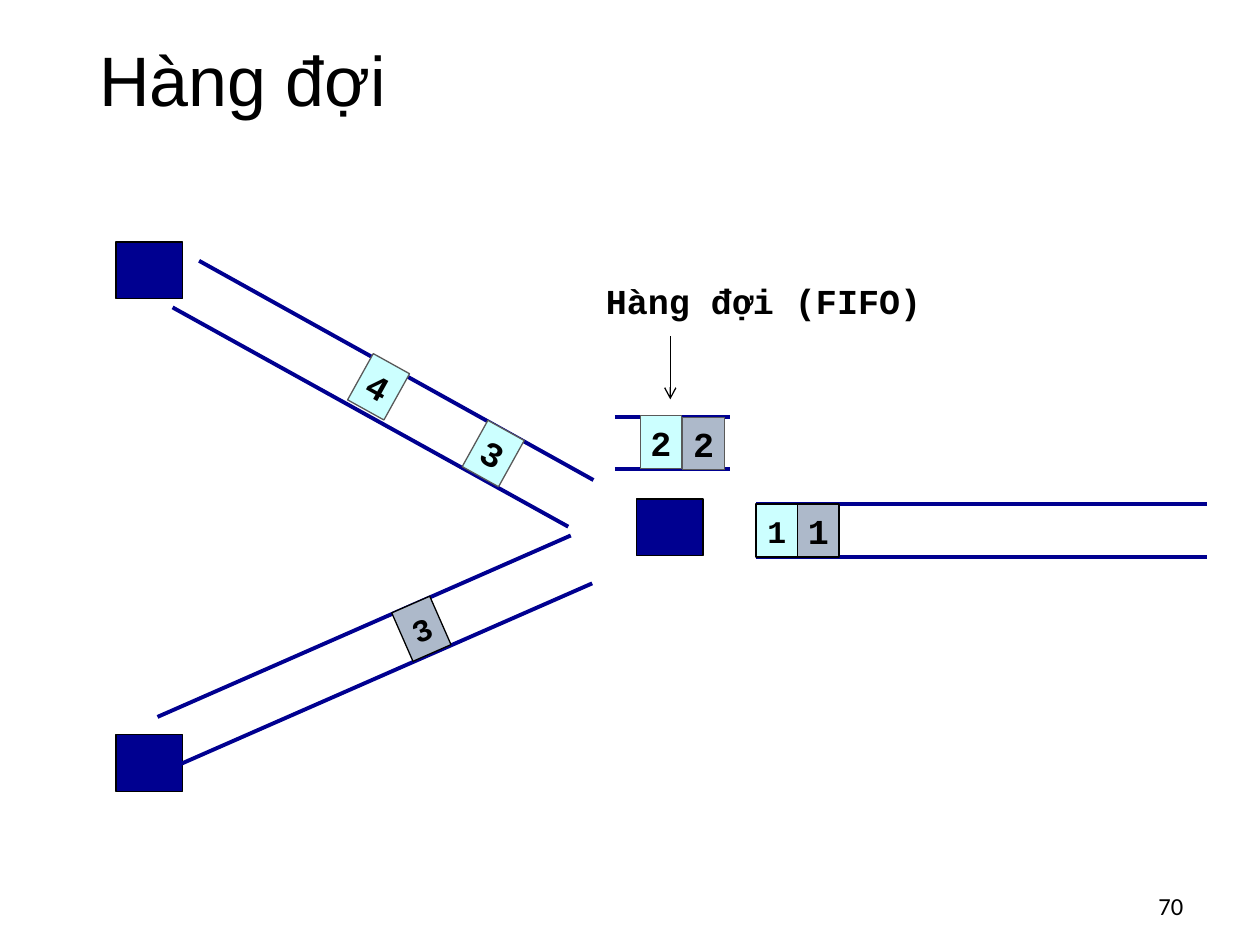
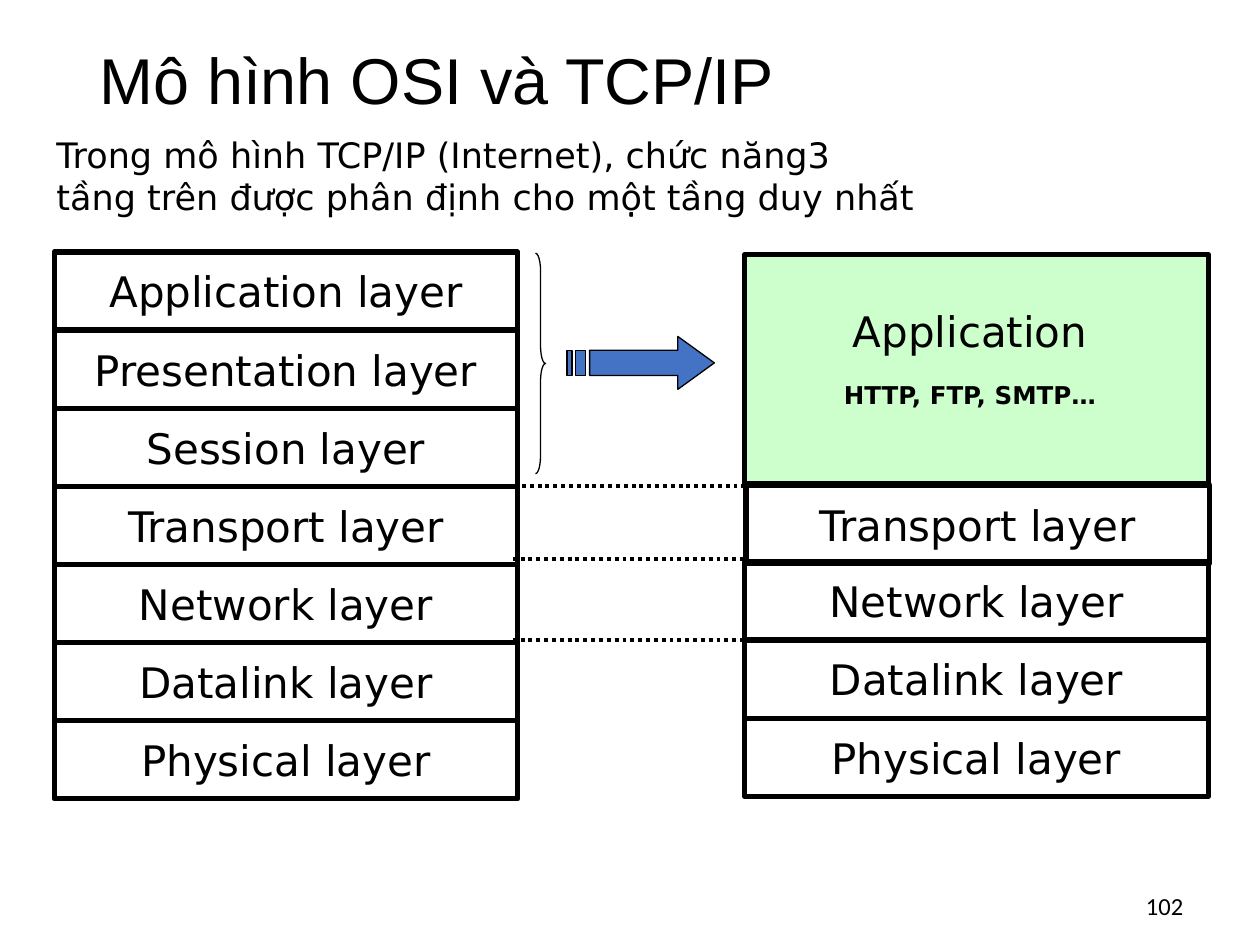
from lxml.etree import SubElement
from pptx import Presentation
from pptx.dml.color import RGBColor
from pptx.enum.dml import MSO_LINE
from pptx.enum.shapes import MSO_CONNECTOR, MSO_SHAPE
from pptx.enum.text import MSO_ANCHOR, PP_ALIGN
from pptx.oxml.ns import qn
from pptx.util import Emu, Pt

BLACK = RGBColor(0x00, 0x00, 0x00)
NAVY = RGBColor(0x00, 0x00, 0x90)
CYAN = RGBColor(0xCC, 0xFF, 0xFF)
STEEL = RGBColor(0xAD, 0xB9, 0xCA)
GREY = RGBColor(0x59, 0x59, 0x59)
MINT = RGBColor(0xCC, 0xFF, 0xCC)
BLUE = RGBColor(0x44, 0x72, 0xC4)

EMU_PER_PX = 9144  # 100 px to the inch

TITLE = {"name": "Arial", "size": Pt(40)}
NUMBER = {"name": "Calibri", "size": Pt(14)}
PACKET = {"name": "Courier New", "size": Pt(20), "bold": True}
SMALL_PACKET = {**PACKET, "size": Pt(18)}
LAYER = {"name": "DejaVu Sans", "size": Pt(24)}
BODY = {**LAYER, "size": Pt(20)}
PROTOCOLS = {**LAYER, "size": Pt(14), "bold": True}

PACKET_WIDTH, PACKET_HEIGHT = 33, 42
LAYER_WIDTH, LAYER_HEIGHT = 368, 62


def px(length):
    return Emu(length * EMU_PER_PX)


class Deck:
    def __init__(self, width, height):
        self.presentation = Presentation()
        self.presentation.slide_width = px(width)
        self.presentation.slide_height = px(height)
        self.slide = None

    def add_slide(self, title, number, title_size=40):
        self.slide = self.presentation.slides.add_slide(self.presentation.slide_layouts[6])
        title_box = self.text(69, 26, 862, 81, [title], {**TITLE, "size": Pt(title_size)},
                              anchor=MSO_ANCHOR.MIDDLE)
        title_box.text_frame.paragraphs[0].line_spacing = 0.9
        self.text(886, 699, 63, 40, [number], NUMBER, PP_ALIGN.RIGHT, MSO_ANCHOR.MIDDLE)

    def fill_text(self, shape, lines, font_format, alignment=PP_ALIGN.CENTER,
                  anchor=MSO_ANCHOR.MIDDLE, wrap=False):
        frame = shape.text_frame
        frame.word_wrap = wrap
        frame.vertical_anchor = anchor
        for index, line in enumerate(lines):
            paragraph = frame.add_paragraph() if index else frame.paragraphs[0]
            paragraph.text = line
            paragraph.alignment = alignment
            self.style_font(paragraph, font_format)

    def style_font(self, paragraph, font_format):
        for name, value in font_format.items():
            setattr(paragraph.font, name, value)
        paragraph.font.color.rgb = BLACK

    def text(self, left, top, width, height, lines, font_format,
             alignment=PP_ALIGN.LEFT, anchor=MSO_ANCHOR.TOP):
        box = self.slide.shapes.add_textbox(px(left), px(top), px(width), px(height))
        self.fill_text(box, lines, font_format, alignment, anchor, wrap=True)
        return box

    def paint(self, shape, fill, line, weight):
        shape.shadow.inherit = False
        if fill is None:
            shape.fill.background()
        else:
            shape.fill.solid()
            shape.fill.fore_color.rgb = fill
        shape.line.color.rgb = line
        shape.line.width = Pt(weight)

    def shape(self, left, top, width, height, fill=None, line=BLACK, weight=0.75,
              kind=MSO_SHAPE.RECTANGLE):
        shape = self.slide.shapes.add_shape(kind, px(left), px(top), px(width), px(height))
        self.paint(shape, fill, line, weight)
        return shape

    def line(self, start, end, color=NAVY, weight=2.25, dash=None, arrow=False):
        points = [px(value) for value in (*start, *end)]
        connector = self.slide.shapes.add_connector(MSO_CONNECTOR.STRAIGHT, *points)
        connector.line.color.rgb = color
        connector.line.width = Pt(weight)
        if dash is not None:
            connector.line.dash_style = dash
        properties = connector._element.spPr
        if arrow:
            SubElement(properties.find(qn("a:ln")), qn("a:tailEnd"), type="arrow")
        SubElement(properties, qn("a:effectLst"))

    def outline(self, contours, fill, line=BLACK, weight=0.75):
        """Draw closed polygons as one freeform."""
        first, *others = contours
        builder = self.slide.shapes.build_freeform(*first[0], scale=EMU_PER_PX)
        builder.add_line_segments(first[1:], close=True)
        for contour in others:
            builder.move_to(*contour[0])
            builder.add_line_segments(contour[1:], close=True)
        self.paint(builder.convert_to_shape(), fill, line, weight)

    def node(self, left, top):
        self.shape(left, top, 53, 45, NAVY)

    def packet(self, left, top, number, fill, line=BLACK, weight=0.75, rotation=0,
               font_format=PACKET):
        packet = self.shape(left, top, PACKET_WIDTH, PACKET_HEIGHT, fill, line, weight)
        packet.rotation = rotation
        self.fill_text(packet, [number], font_format)

    def layer(self, left, top, name):
        box = self.shape(left, top, LAYER_WIDTH, LAYER_HEIGHT, weight=3)
        self.fill_text(box, [name], LAYER)


def build_queue(deck):
    deck.add_slide("Hàng đợi", "70")
    for left, top in ((92, 192), (92, 583), (505, 396)):
        deck.node(left, top)

    link_edges = (
        ((158, 207), (471, 381)), ((137, 244), (451, 418)),
        ((125, 569), (453, 425)), ((142, 607), (470, 463)),
        ((600, 400), (958, 400)), ((600, 442), (958, 442)),
        ((488, 331), (579, 331)), ((488, 372), (579, 372)),
    )
    for start, end in link_edges:
        deck.line(start, end)

    deck.packet(375, 339, "3", CYAN, GREY, rotation=29)
    deck.packet(284, 286, "4", CYAN, GREY, rotation=29)
    deck.packet(318, 478, "3", STEEL, rotation=336.3, font_format=SMALL_PACKET)
    deck.packet(600, 400, "1", CYAN, font_format=SMALL_PACKET)
    deck.packet(600 + PACKET_WIDTH, 400, "1", STEEL)
    deck.packet(542, 331, "2", STEEL, GREY, 0.5)
    deck.packet(508, 330, "2", CYAN, GREY, 0.5)

    deck.text(471, 217, 280, 44, ["Hàng đợi (FIFO)"], PACKET)
    deck.line((532, 267), (532, 317), BLACK, 0.75, arrow=True)


def build_models(deck):
    deck.add_slide("Mô hình OSI và TCP/IP", "102", title_size=37)
    deck.text(35, 101, 710, 77, [
        "Trong mô hình TCP/IP (Internet), chức năng3",
        "tầng trên được phân định cho một tầng duy nhất",
    ], BODY)

    osi_layers = ["Application", "Presentation", "Session", "Transport",
                  "Network", "Datalink", "Physical"]
    for index, name in enumerate(osi_layers):
        deck.layer(43, 200 + index * LAYER_HEIGHT, f"{name} layer")

    deck.layer(592, 385, "Transport layer")
    application = deck.shape(591, 202, LAYER_WIDTH, 182, MINT, weight=3)
    deck.fill_text(application, ["Application", "HTTP, FTP, SMTP…"], LAYER)
    application.text_frame.margin_right = px(20)
    application.text_frame.margin_bottom = px(24)
    protocols = application.text_frame.paragraphs[1]
    protocols.space_before = Pt(14)
    deck.style_font(protocols, PROTOCOLS)
    for index, name in enumerate(osi_layers[4:]):
        deck.layer(591, 446 + index * LAYER_HEIGHT, f"{name} layer")

    for left, top in ((408, 386), (407, 444), (407, 508)):
        deck.line((left, top), (left + 186, top), BLACK, dash=MSO_LINE.ROUND_DOT)

    brace = deck.shape(425, 201, 8, 175, kind=MSO_SHAPE.RIGHT_BRACE)
    brace.adjustments[0] = 1.75
    brace.adjustments[1] = 0.5

    top, bottom = 278, 298
    arrow = [(538, 267), (538, top), (468, top), (468, bottom),
             (538, bottom), (538, 309), (567, 288)]
    stripes = [[(left, top), (left, bottom), (right, bottom), (right, top)]
               for left, right in ((457, 465), (450, 454))]
    deck.outline([arrow, *stripes], BLUE)


def main():
    deck = Deck(1000, 750)
    build_queue(deck)
    build_models(deck)
    deck.presentation.save("out.pptx")


if __name__ == "__main__":
    main()
